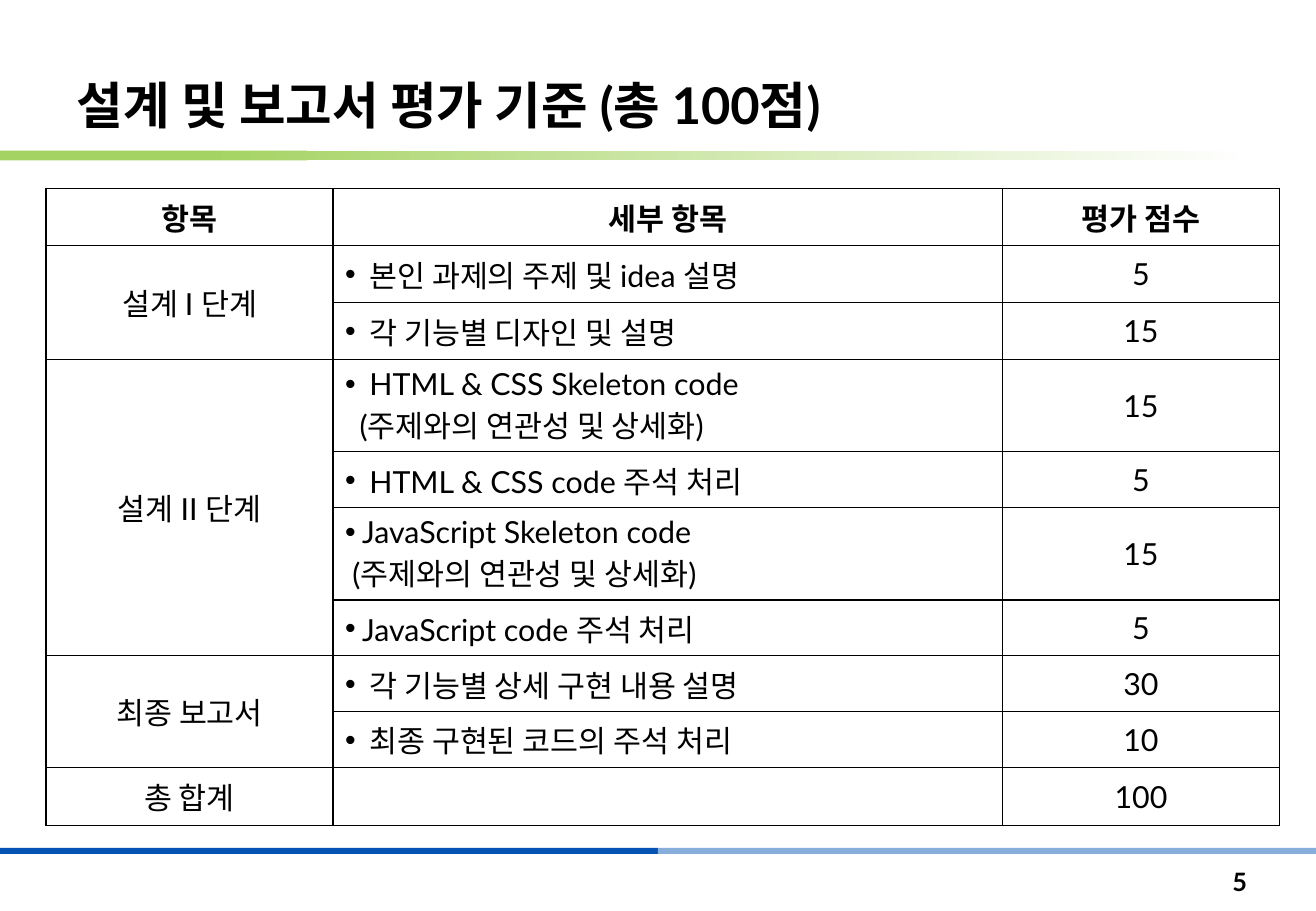
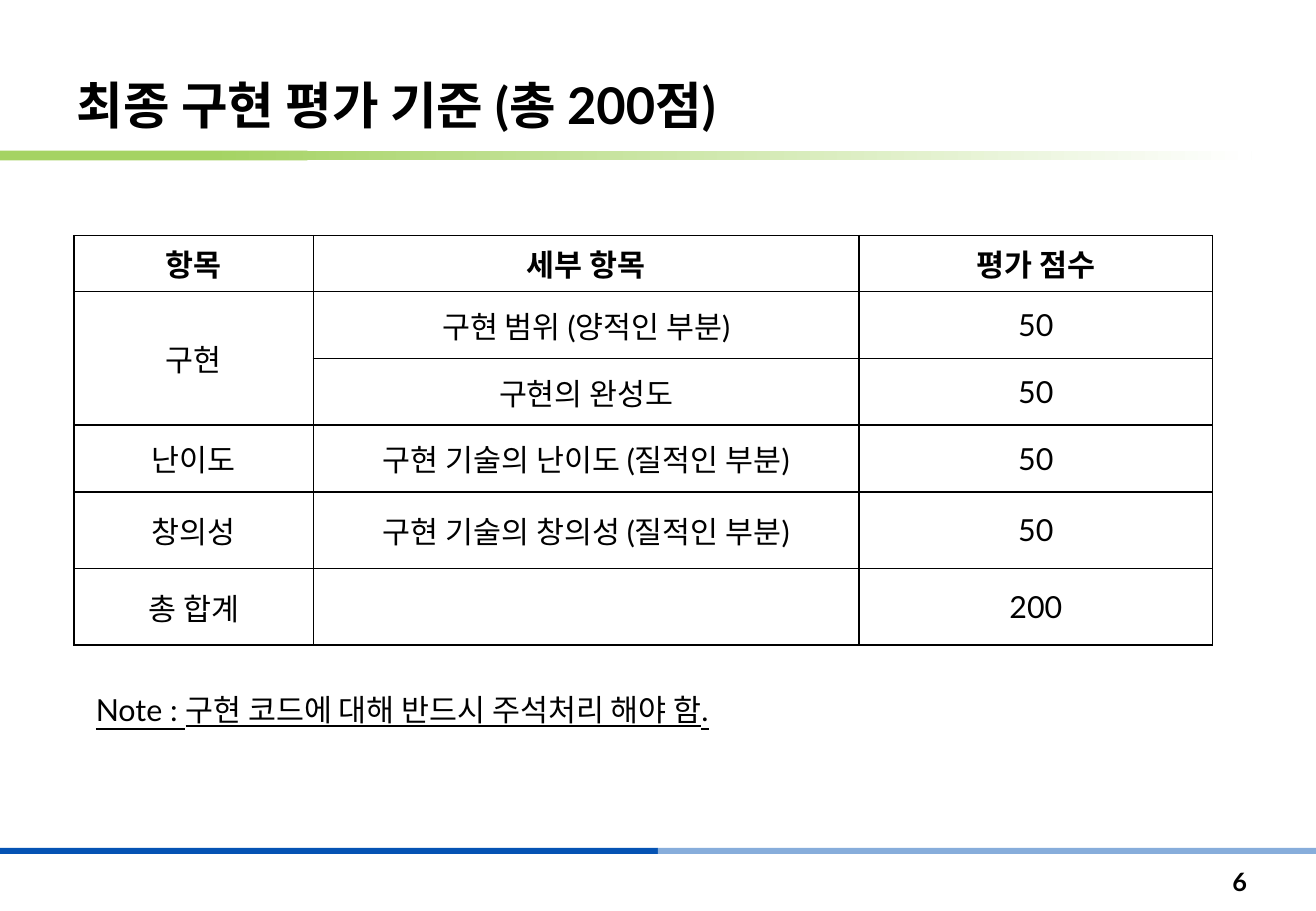
import pptx
import pptx.dml.color
import pptx.enum.shapes
import pptx.enum.text
import pptx.oxml
import pptx.oxml.ns
import pptx.util

Inches = pptx.util.Inches
Pt = pptx.util.Pt
ALIGN = pptx.enum.text.PP_ALIGN
ANCHOR = pptx.enum.text.MSO_ANCHOR

FONT = "Lato"
COLORS = {
    "text": "000000",
    "border": "000000",
    "green": "A5D363",
    "white": "FFFFFF",
    "blue": "0553B4",
    "light_blue": "87ADDB",
}
PAGE_WIDTH, PAGE_HEIGHT = 10.83, 7.5
TITLE_BOX = (0.53, 0.04, 9.76, 1.12)
TITLE_BAND = (0, 1.24, 10.3, 0.08)
FOOTER_BAND = (0, 6.98, PAGE_WIDTH, 0.05)
NUMBER_BOX = (8.88, 7.06, 1.48, 0.4)
HEADINGS = ("항목", "세부 항목", "평가 점수")

# A group of None continues the group above.
# A detail given as a tuple is a bulleted item: text indent, then its lines.
REPORT_ROWS = [
    ("설계 I 단계", (0.2, "본인 과제의 주제 및 idea 설명"), "5"),
    (None, (0.2, "각 기능별 디자인 및 설명"), "15"),
    ("설계 II 단계", (0.2, "HTML & CSS Skeleton code", "(주제와의 연관성 및 상세화)"), "15"),
    (None, (0.2, "HTML & CSS code 주석 처리"), "5"),
    (None, (0.14, "JavaScript Skeleton code", "(주제와의 연관성 및 상세화)"), "15"),
    (None, (0.14, "JavaScript code 주석 처리"), "5"),
    ("최종 보고서", (0.2, "각 기능별 상세 구현 내용 설명"), "30"),
    (None, (0.2, "최종 구현된 코드의 주석 처리"), "10"),
    ("총 합계", "", "100"),
]
FINAL_ROWS = [
    ("구현", "구현 범위 (양적인 부분)", "50"),
    (None, "구현의 완성도", "50"),
    ("난이도", "구현 기술의 난이도 (질적인 부분)", "50"),
    ("창의성", "구현 기술의 창의성 (질적인 부분)", "50"),
    ("총 합계", "", "200"),
]


def rgb(name):
    return pptx.dml.color.RGBColor.from_string(COLORS[name])


def style_text(para, size, bold=False, align=ALIGN.LEFT):
    para.alignment = align
    para.font.name = FONT
    para.font.size = Pt(size)
    para.font.bold = bold
    para.font.color.rgb = rgb("text")


# Bands
def add_band(page, box, color, fade_to=None):
    band = page.shapes.add_shape(
        pptx.enum.shapes.MSO_SHAPE.RECTANGLE, *map(Inches, box))
    band.shadow.inherit = False
    band.line.fill.background()
    if fade_to is None:
        band.fill.solid()
        band.fill.fore_color.rgb = rgb(color)
        return
    band.fill.gradient()
    band.fill.gradient_angle = 0
    for stop, name, position in zip(band.fill.gradient_stops, (color, fade_to), (0, 1)):
        stop.color.rgb = rgb(name)
        stop.position = position


def add_title_band(page, box):
    left, top, width, height = box
    fade_left = left + 1.72
    add_band(page, (left, top, 2.53, height), "green")
    add_band(page, (fade_left, top, left + width - fade_left, height), "green", "white")


def add_footer_band(page, box):
    left, top, width, height = box
    half = width / 2
    add_band(page, (left, top, half, height), "blue")
    add_band(page, (left + half, top, half, height), "light_blue")


# Text
def add_text(page, box, text, size, bold=False, align=ALIGN.LEFT, anchor=ANCHOR.TOP):
    frame = page.shapes.add_textbox(*map(Inches, box)).text_frame
    frame.word_wrap = True
    frame.vertical_anchor = anchor
    para = frame.paragraphs[0]
    para.text = text
    style_text(para, size, bold, align)
    return para


def place_title(page, box, text):
    title = page.shapes.title
    title.left, title.top, title.width, title.height = map(Inches, box)
    frame = title.text_frame
    frame.auto_size = pptx.enum.text.MSO_AUTO_SIZE.NONE
    frame.vertical_anchor = ANCHOR.BOTTOM
    frame.text = text
    style_text(frame.paragraphs[0], 30, bold=True)


# Table
def add_borders(cell):
    properties = cell._tc.get_or_add_tcPr()
    for side in ("lnL", "lnR", "lnT", "lnB"):
        properties.append(pptx.oxml.parse_xml(
            f'<a:{side} {pptx.oxml.ns.nsdecls("a")} w="{Pt(1)}"><a:solidFill>'
            f'<a:srgbClr val="{COLORS["border"]}"/></a:solidFill></a:{side}>'))


def indent_line(para, indent, bulleted):
    properties = para._p.get_or_add_pPr()
    # A line below the bulleted one starts a little left of its text
    margin = indent if bulleted else indent - 0.08
    properties.set("marL", str(Inches(margin)))
    properties.set("indent", str(Inches(-indent) if bulleted else 0))
    if bulleted:
        for tag, attribute in (('buFont', 'typeface="Arial"'), ('buChar', 'char="•"')):
            properties.append(pptx.oxml.parse_xml(
                f'<a:{tag} {pptx.oxml.ns.nsdecls("a")} {attribute}/>'))


def fill_cell(cell, content, bold):
    add_borders(cell)
    cell.fill.background()
    cell.vertical_anchor = ANCHOR.MIDDLE
    frame = cell.text_frame
    if isinstance(content, tuple):
        indent, *lines = content
        frame.text = "\n".join(lines)
        for number, para in enumerate(frame.paragraphs):
            style_text(para, 18)
            indent_line(para, indent, bulleted=number == 0)
    else:
        frame.text = content or ""
        style_text(frame.paragraphs[0], 18, bold, ALIGN.CENTER)


def add_score_table(page, box, widths, heights, rows):
    table = page.shapes.add_table(
        len(heights), len(widths), *map(Inches, box)).table
    table.first_row = False
    table.horz_banding = False
    for column, width in zip(table.columns, widths):
        column.width = Inches(width)
    for row, height in zip(table.rows, heights):
        row.height = Inches(height)
    for row_index, contents in enumerate([HEADINGS, *rows]):
        for column_index, content in enumerate(contents):
            fill_cell(table.cell(row_index, column_index), content, bold=row_index == 0)
    # Join each group with the rows that continue it
    starts = [index for index, row in enumerate(rows, 1) if row[0] is not None]
    for start, following in zip(starts, starts[1:] + [len(rows) + 1]):
        if following - start > 1:
            table.cell(start, 0).merge(table.cell(following - 1, 0))


# Pages
def add_page(deck, title, number):
    page = deck.slides.add_slide(deck.slide_layouts[5])
    add_title_band(page, TITLE_BAND)
    add_footer_band(page, FOOTER_BAND)
    place_title(page, TITLE_BOX, title)
    add_text(page, NUMBER_BOX, str(number), 15, True, ALIGN.RIGHT, ANCHOR.MIDDLE)
    return page


def add_report_page(deck):
    page = add_page(deck, "설계 및 보고서 평가 기준 (총 100점)", 5)
    heights = [0.47] * 3 + [0.76, 0.46, 0.76] + [0.46] * 3 + [0.48]
    add_score_table(page, (0.38, 1.55, 10.16, sum(heights)),
                    (2.36, 5.51, 2.28), heights, REPORT_ROWS)


def add_final_page(deck):
    page = add_page(deck, "최종 구현 평가 기준 (총 200점)", 6)
    heights = [0.46] + [0.55] * 3 + [0.63] * 2
    add_score_table(page, (0.61, 1.94, 9.37, sum(heights)),
                    (1.97, 4.49, 2.91), heights, FINAL_ROWS)
    note = add_text(page, (0.69, 5.64, 7.72, 0.4),
                    "Note : 구현 코드에 대해 반드시 주석처리 해야 함.", 18)
    note.font.underline = True


deck = pptx.Presentation()
deck.slide_width = Inches(PAGE_WIDTH)
deck.slide_height = Inches(PAGE_HEIGHT)
add_report_page(deck)
add_final_page(deck)
deck.save("out.pptx")
